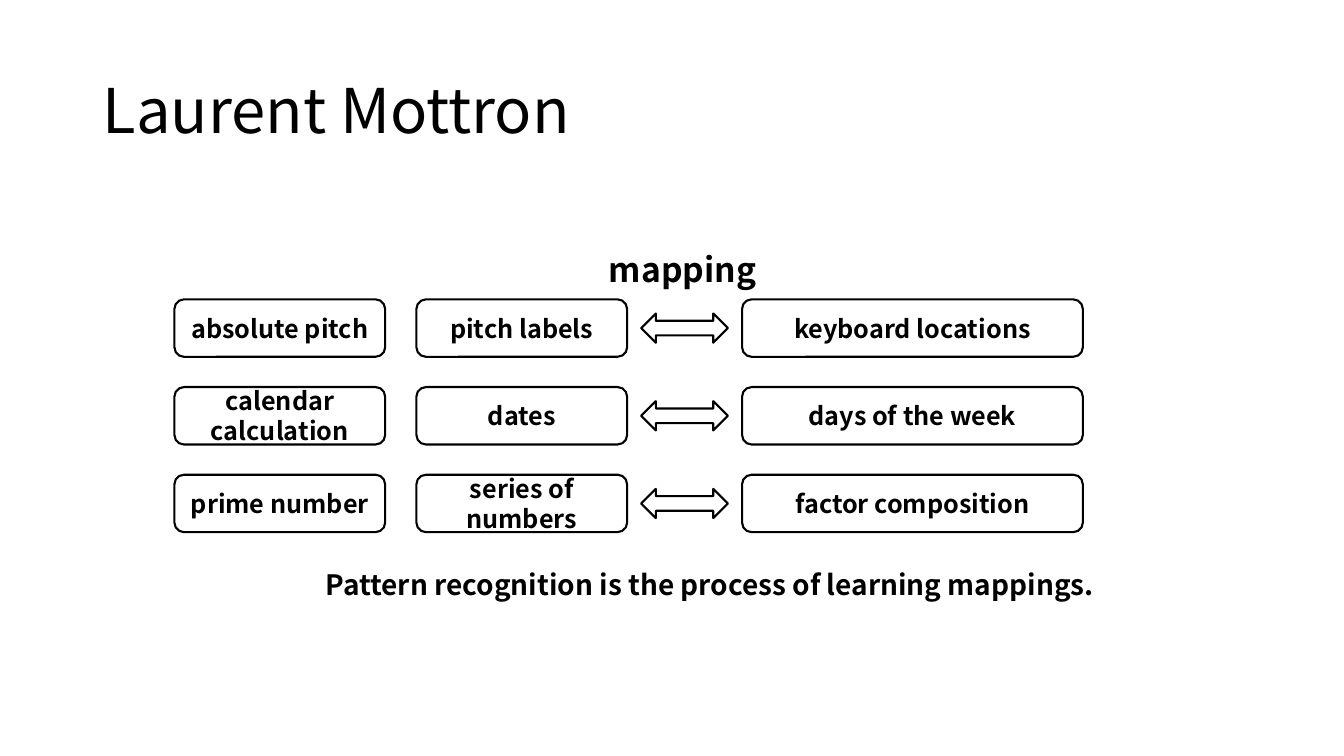
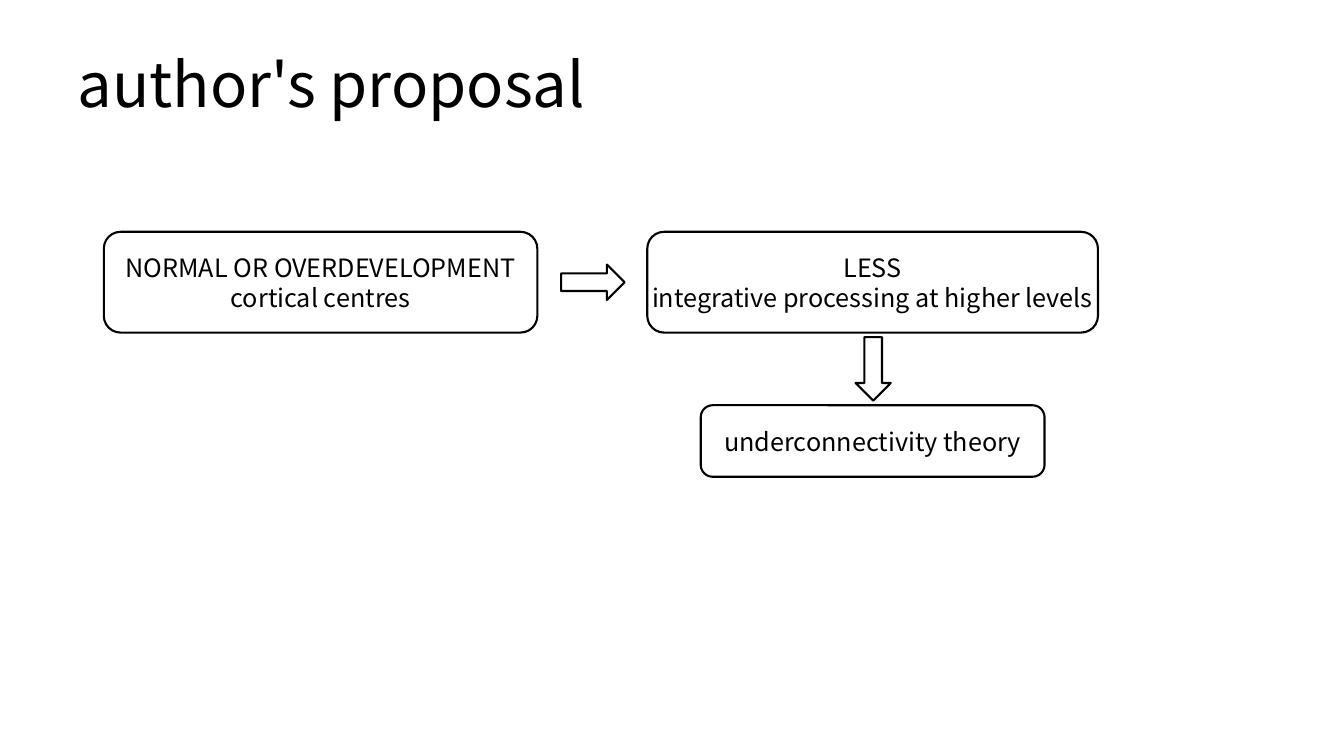
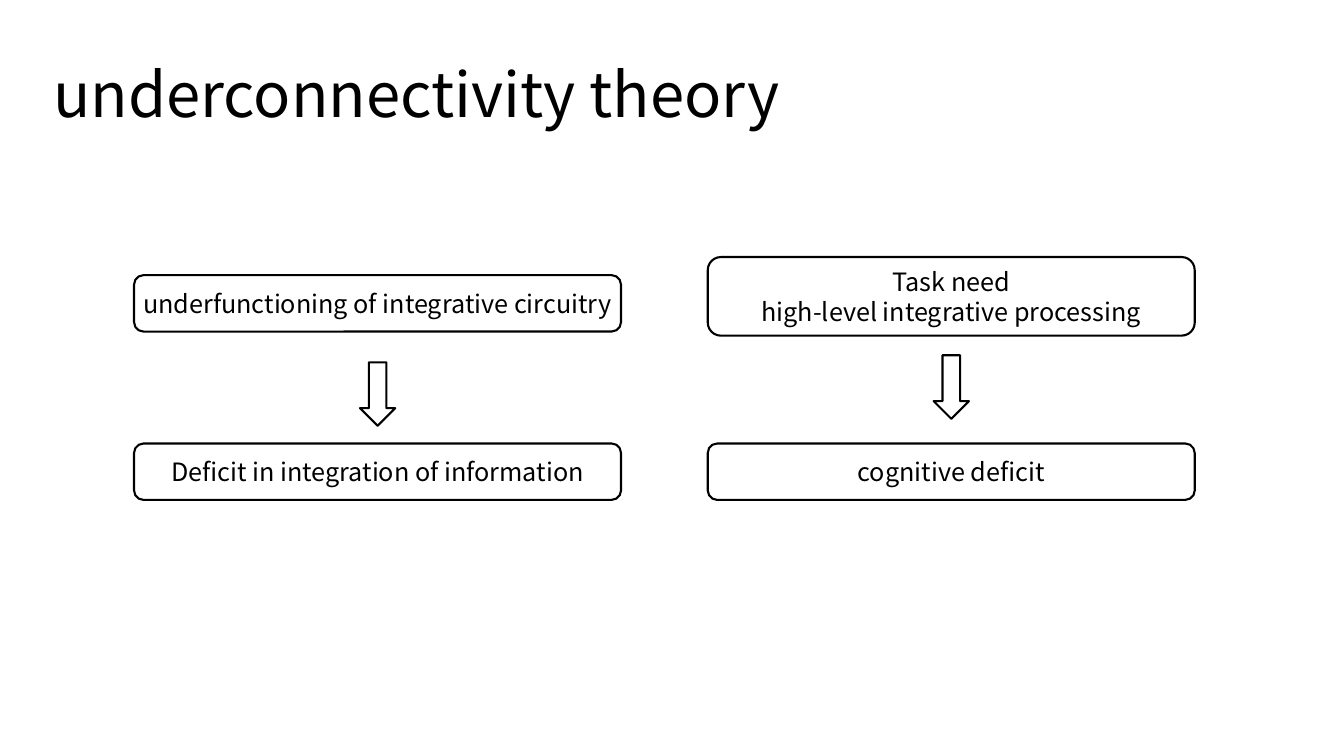
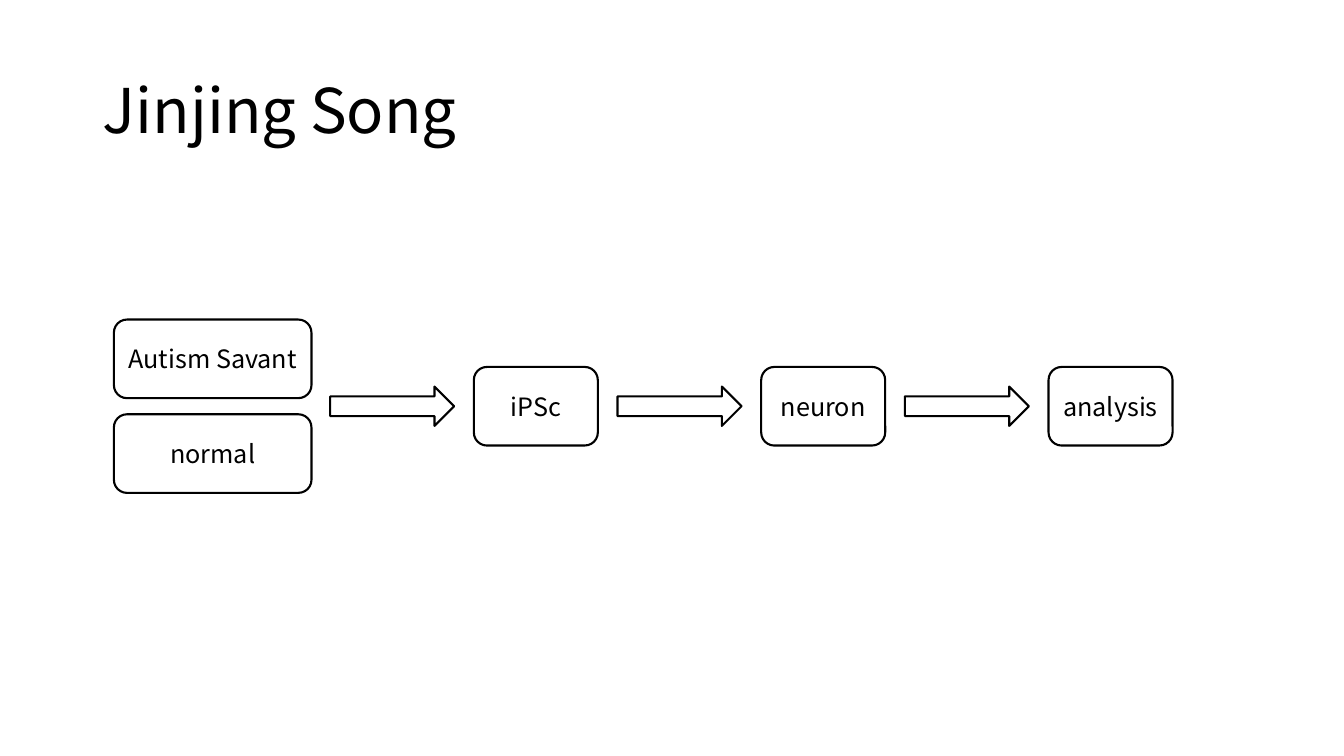
from pptx import Presentation
from pptx.dml.color import RGBColor
from pptx.enum.shapes import MSO_SHAPE as Preset
from pptx.enum.text import MSO_ANCHOR as Anchor, MSO_AUTO_SIZE as AutoSize, PP_ALIGN as Align
from pptx.util import Inches, Pt

FONT = "Noto Sans CJK KR"
BLACK = "000000"
WHITE = "FFFFFF"
BLANK_LAYOUT = 6


def color(hex_string):
    return RGBColor.from_string(hex_string)


def write(shape, text, size=18, bold=False, align=Align.LEFT, anchor=Anchor.TOP,
          wrap=True, spacing=None):
    frame = shape.text_frame
    frame.text = text
    frame.word_wrap = wrap
    frame.vertical_anchor = anchor
    for paragraph in frame.paragraphs:
        paragraph.alignment = align
        paragraph.line_spacing = spacing
        for run in paragraph.runs:
            run.font.name = FONT
            run.font.size = Pt(size)
            run.font.bold = bold
            run.font.color.rgb = color(BLACK)


def add_text(shapes, left, top, width, height, text, **text_format):
    shape = shapes.add_textbox(Inches(left), Inches(top), Inches(width), Inches(height))
    write(shape, text, **text_format)
    return shape


def add_label(shapes, left, top, width, height, text, size):
    label = add_text(shapes, left, top, width, height, text, size=size, bold=True)
    label.text_frame.auto_size = AutoSize.SHAPE_TO_FIT_TEXT


def add_outlined(shapes, preset, left, top, width, height):
    shape = shapes.add_shape(preset, Inches(left), Inches(top), Inches(width), Inches(height))
    shape.shadow.inherit = False
    shape.fill.solid()
    shape.fill.fore_color.rgb = color(WHITE)
    shape.line.color.rgb = color(BLACK)
    shape.line.width = Pt(1.5)
    return shape


def add_box(shapes, left, top, width, height, text, bold=False):
    box = add_outlined(shapes, Preset.ROUNDED_RECTANGLE, left, top, width, height)
    write(box, text, bold=bold, align=Align.CENTER, anchor=Anchor.MIDDLE, wrap=False)


def add_arrow(shapes, center_x, center_y, width=0.63, height=0.35,
              preset=Preset.RIGHT_ARROW, rotation=0):
    arrow = add_outlined(shapes, preset, center_x - width / 2, center_y - height / 2,
                         width, height)
    arrow.rotation = rotation


def add_slide(presentation, title, left=0.92, top=0.4):
    slide = presentation.slides.add_slide(presentation.slide_layouts[BLANK_LAYOUT])
    add_text(slide.shapes, left, top, 11.5, 1.45, title, size=44,
             anchor=Anchor.MIDDLE, spacing=0.9)
    return slide.shapes


def add_mapping_slide(presentation):
    shapes = add_slide(presentation, "Laurent Mottron")
    diagram = shapes.add_group_shape().shapes
    add_label(diagram, 5.94, 2.42, 1.7, 0.5, "mapping", 24)
    columns = [(1.73, 2.09), (4.13, 2.09), (7.36, 3.38)]
    rows = [
        ("absolute pitch", "pitch labels", "keyboard locations"),
        ("calendar\ncalculation", "dates", "days of the week"),
        ("prime number", "series of\nnumbers", "factor composition"),
    ]
    box_height = 0.57
    for index, row in enumerate(rows):
        top = 2.97 + 0.87 * index
        for (left, width), text in zip(columns, row):
            add_box(diagram, left, top, width, box_height, text, bold=True)
        add_arrow(diagram, 6.79, top + box_height / 2, 0.86, 0.29, Preset.LEFT_RIGHT_ARROW)
    add_label(shapes, 3.13, 5.58, 8.16, 0.44,
              "Pattern recognition is the process of learning mappings.", 20)


def add_proposal_slide(presentation):
    shapes = add_slide(presentation, "author's proposal", 0.67, 0.14)
    add_box(shapes, 1.03, 2.3, 4.3, 1, "NORMAL OR OVERDEVELOPMENT\ncortical centres")
    add_box(shapes, 6.42, 2.3, 4.47, 1, "LESS\nintegrative processing at higher levels")
    add_box(shapes, 6.95, 4.02, 3.41, 0.71, "underconnectivity theory")
    add_arrow(shapes, 5.88, 2.8)
    add_arrow(shapes, 8.66, 3.66, rotation=90)


def add_theory_slide(presentation):
    shapes = add_slide(presentation, "underconnectivity theory", 0.43, 0.24)
    width = 4.83
    chains = [
        (1.33, 2.73, 0.56, 3.91, "underfunctioning of integrative circuitry",
         "Deficit in integration of information"),
        (7.02, 2.55, 0.78, 3.84, "Task need\nhigh-level integrative processing",
         "cognitive deficit"),
    ]
    for left, top, height, arrow_y, cause, effect in chains:
        add_box(shapes, left, top, width, height, cause)
        add_arrow(shapes, left + width / 2, arrow_y, rotation=90)
        add_box(shapes, left, 4.4, width, 0.56, effect)


def add_workflow_slide(presentation):
    shapes = add_slide(presentation, "Jinjing Song")
    height = 0.78
    samples = shapes.add_group_shape().shapes
    for index, sample in enumerate(["Autism Savant", "normal"]):
        add_box(samples, 1.13, 3.17 + 0.94 * index, 1.96, height, sample)
    width, top = 1.23, 3.64
    for index, step in enumerate(["iPSc", "neuron", "analysis"]):
        left = 4.7 + 2.85 * index
        add_arrow(shapes, left - 0.81, top + height / 2, width, 0.39)
        add_box(shapes, left, top, width, height, step)


def main():
    presentation = Presentation()
    presentation.slide_width = Inches(13.33)
    presentation.slide_height = Inches(7.5)
    add_mapping_slide(presentation)
    add_proposal_slide(presentation)
    add_theory_slide(presentation)
    add_workflow_slide(presentation)
    presentation.save("out.pptx")


if __name__ == "__main__":
    main()
